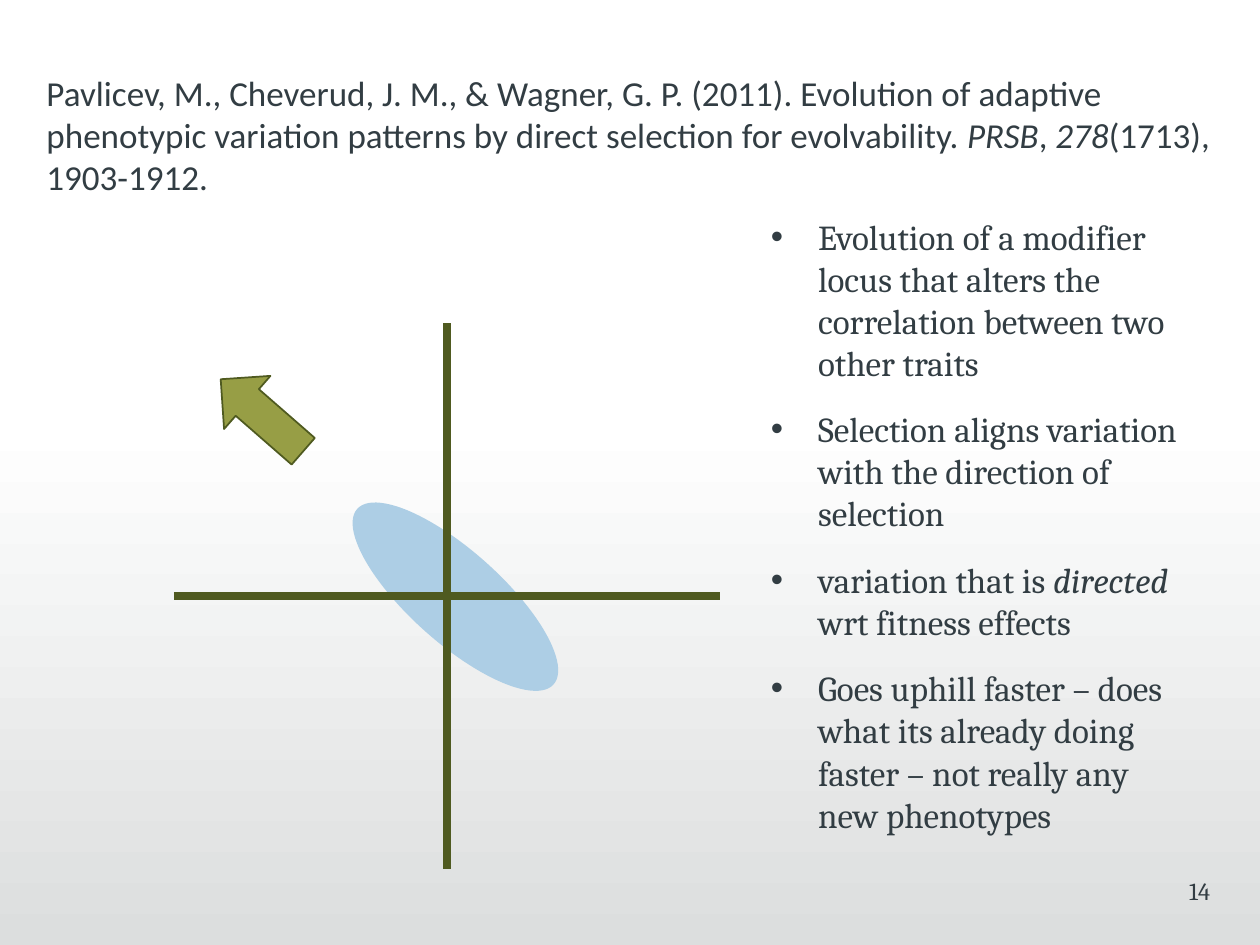
"""Build the slide on selection for evolvability: citation, trait diagram and bullets."""
from lxml.etree import SubElement
from pptx import Presentation
from pptx.dml.color import RGBColor
from pptx.enum.shapes import MSO_CONNECTOR as Connector, MSO_SHAPE as Shape
from pptx.enum.text import PP_ALIGN as Align
from pptx.oxml.ns import qn
from pptx.util import Pt

INK, OLIVE = "323D43", "4F5A20"


def color(value):
    return RGBColor.from_string(value)


def add_spans(para, spans, font, size):
    for text, italic in spans:
        span = para.add_run()
        span.text = text
        span.font.name = font
        span.font.size = Pt(size)
        span.font.italic = italic
        span.font.color.rgb = color(INK)


deck = Presentation()
deck.slide_width, deck.slide_height = Pt(720), Pt(540)
page = deck.slides.add_slide(deck.slide_layouts[6])

backdrop = page.shapes.add_shape(Shape.RECTANGLE, Pt(-6.5), Pt(240), Pt(726.5), Pt(300))
backdrop.shadow.inherit = False
backdrop.line.fill.background()
backdrop.fill.gradient()
backdrop.fill.gradient_angle = 270
for stop, (position, shade) in zip(backdrop.fill.gradient_stops, [(0, "FFFFFF"), (1, "DCDEDE")]):
    stop.position = position
    stop.color.rgb = color(shade)

points = [
    [("Evolution of a modifier locus that alters the correlation between two other traits", False)],
    [("Selection aligns variation with the direction of selection", False)],
    [("variation that is ", False), ("directed ", True), ("wrt fitness effects", False)],
    [("Goes uphill faster – does what its already doing faster – not really any new phenotypes", False)],
]
body = page.shapes.add_textbox(Pt(440.5), Pt(119.5), Pt(249), Pt(324)).text_frame
body.word_wrap = True
body.margin_left = 0
for index, spans in enumerate(points):
    para = body.add_paragraph() if index else body.paragraphs[0]
    properties = para._p.get_or_add_pPr()
    properties.set("marL", str(Pt(27)))
    properties.set("indent", str(Pt(-27)))
    SubElement(properties, qn("a:buFont")).set("typeface", "Arial")
    SubElement(properties, qn("a:buChar")).set("char", "•")
    para.space_after = Pt(14)
    add_spans(para, spans, "Cambria", 20)

number = page.shapes.add_textbox(Pt(541.5), Pt(497), Pt(150), Pt(36)).text_frame
number.word_wrap = True
number.margin_right = 0
number.paragraphs[0].alignment = Align.RIGHT
add_spans(number.paragraphs[0], [("14", False)], "Cambria", 14)

variation = page.shapes.add_shape(Shape.OVAL, Pt(234), Pt(265.7), Pt(52.5), Pt(150.5))
variation.rotation = 311.8
variation.fill.solid()
variation.fill.fore_color.rgb = color("ADCEE5")
variation.line.fill.background()
variation.shadow.inherit = False

selection = page.shapes.add_shape(Shape.UP_ARROW, Pt(129.6), Pt(206), Pt(40.3), Pt(62.6))
selection.rotation = 311.1
selection.fill.solid()
selection.fill.fore_color.rgb = color("979E45")
selection.line.color.rgb = color(OLIVE)
selection.line.width = Pt(1)
selection.shadow.inherit = False

center_x, center_y, reach = 255.4, 340.8, 156
for dx, dy in [(0, reach), (reach, 0)]:
    axis = page.shapes.add_connector(
        Connector.STRAIGHT,
        Pt(center_x - dx), Pt(center_y - dy), Pt(center_x + dx), Pt(center_y + dy))
    axis.line.color.rgb = color(OLIVE)
    axis.line.width = Pt(4.5)
    SubElement(axis._element.spPr, qn("a:effectLst"))

citation = page.shapes.add_textbox(Pt(19.5), Pt(37.5), Pt(679), Pt(80)).text_frame
citation.word_wrap = True
add_spans(citation.paragraphs[0], [
    ("Pavlicev, M., Cheverud, J. M., & Wagner, G. P. (2011). Evolution of adaptive phenotypic "
     "variation patterns by direct selection for evolvability. ", False),
    ("PRSB", True), (", ", False), ("278", True), ("(1713), 1903-1912.", False),
], "Calibri", 20)

deck.save("out.pptx")
